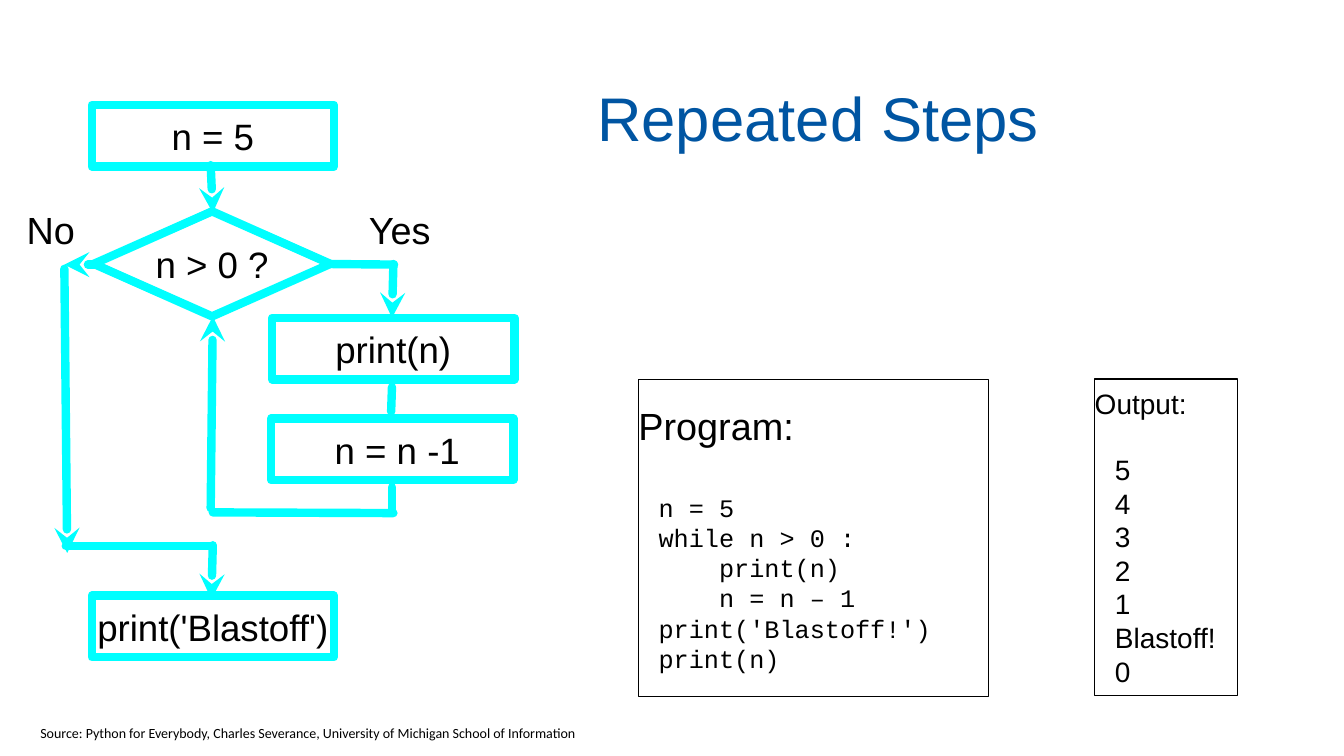
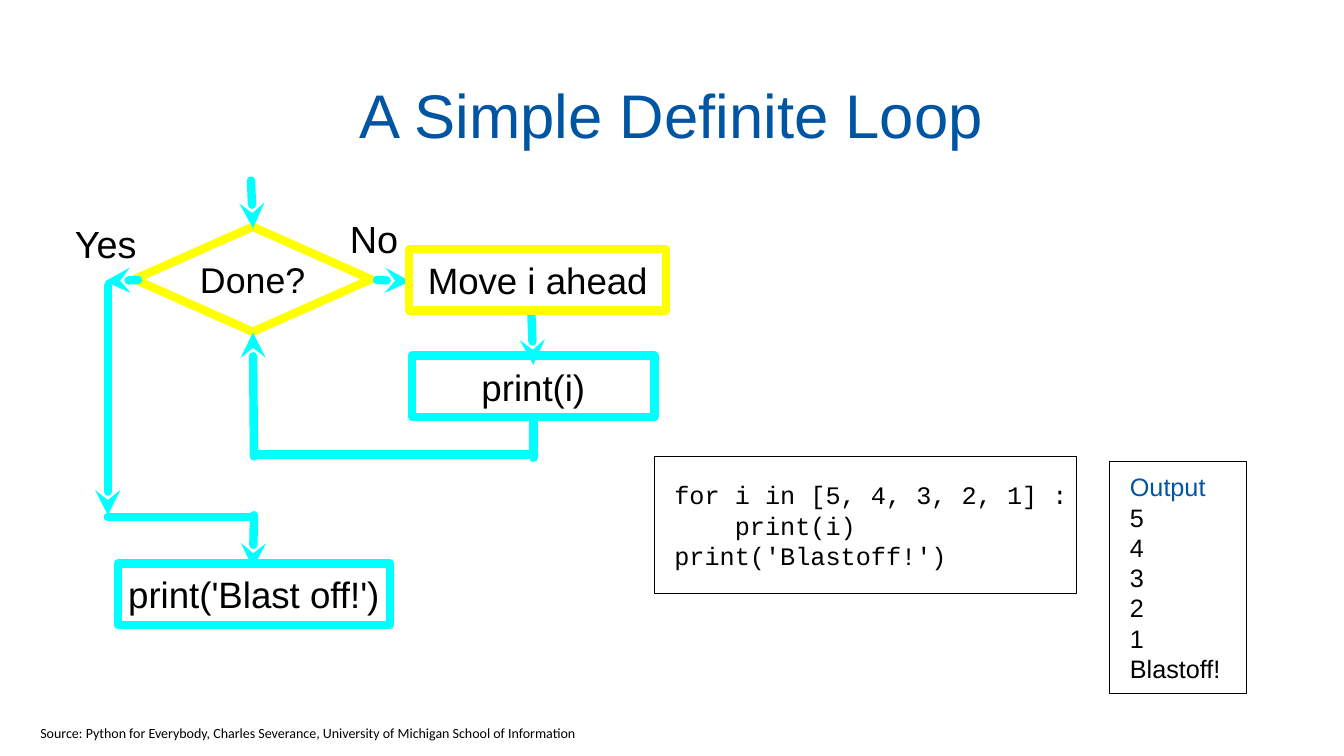
import pptx
import pptx.dml.color
import pptx.enum.shapes
import pptx.enum.text
import pptx.oxml.ns
import pptx.util
import lxml.etree

Pt = pptx.util.Pt
SHAPES = pptx.enum.shapes.MSO_SHAPE
ALIGN = pptx.enum.text.PP_ALIGN
ANCHOR = pptx.enum.text.MSO_ANCHOR

COLOURS = {"title": "0055A2", "text": "000000", "flow": "00FFFF", "loop": "FFFF00"}
FLOW_WIDTH = 6
BOX_HEIGHT = 44
BOX_WIDTH = 173
DIAMOND_SIZE = (169, 75)
FLOW_SIZE = 26.2
LABEL_SIZE = 27
INDENT = 14.4
CODE_INDENT = INDENT + 43.2  # four monospaced characters at 18 pt
SOURCE = ("Source: Python for Everybody, Charles Severance, "
          "University of Michigan School of Information")


def add_box(page, frame, lines, kind=None, outline="text", width=0.75, align=ALIGN.CENTER, inset=0):
    """Add a text box, or an outlined shape of the given kind.

    Each line is a dict: text, size and optional font, colour, indent, gap (space after).
    """
    frame = [Pt(length) for length in frame]
    if kind is None:
        box = page.shapes.add_textbox(*frame)
    else:
        box = page.shapes.add_shape(kind, *frame)
        box.shadow.inherit = False
        box.fill.background()
        draw_outline(box.line, outline, width)
    text_frame = box.text_frame
    text_frame.word_wrap = True
    text_frame.vertical_anchor = ANCHOR.MIDDLE
    text_frame.margin_left = text_frame.margin_right = Pt(inset)
    text_frame.margin_top = text_frame.margin_bottom = Pt(inset)
    for index, line in enumerate(lines):
        para = text_frame.add_paragraph() if index else text_frame.paragraphs[0]
        para.alignment = align
        para.space_after = Pt(line.get("gap", 0))
        properties = para._p.get_or_add_pPr()
        properties.set("marL", str(Pt(line.get("indent", 0))))
        properties.set("indent", "0")
        span = para.add_run()
        span.text = line["text"]
        span.font.size = Pt(line["size"])
        span.font.name = line.get("font", "Arial")
        span.font.color.rgb = pptx.dml.color.RGBColor.from_string(COLOURS[line.get("colour", "text")])
    return box


def draw_outline(line, colour, width, arrow=False):
    line.width = Pt(width)
    line.color.rgb = pptx.dml.color.RGBColor.from_string(COLOURS[colour])
    outline = line._get_or_add_ln()
    if width == FLOW_WIDTH:
        outline.set("cap", "rnd")
        lxml.etree.SubElement(outline, pptx.oxml.ns.qn("a:round"))
    if arrow:
        lxml.etree.SubElement(outline, pptx.oxml.ns.qn("a:tailEnd"), type="stealth")


def_code = {"size": 18, "font": "Courier New", "indent": INDENT}
nested_code = {**def_code, "indent": CODE_INDENT}
first_output = {"size": 20, "indent": INDENT}
second_output = {"size": 18, "indent": INDENT}

slides = [
    {
        "title": ("Repeated Steps", (279, 48, 611, 71)),
        "diamond": ("n > 0 ?", (67, 151), FLOW_SIZE, "flow"),
        # start x, start y, end x, end y, arrowhead at the end
        "lines": [
            (150.5, 118, 152, 152, True),
            (150.5, 363, 152, 226, True),
            (281.5, 189, 236, 188.6, False),
            (281, 188.6, 280, 227, True),
            (280, 348, 280, 366, False),
            (152, 366, 281, 366.5, False),
            (70, 189, 46, 189, True),
            (152, 389.5, 151, 428, True),
            (46, 192, 48, 395, True),
            (47, 390, 150.5, 390, False),
            (280, 276.5, 279.4, 294, False),
        ],
        "labels": [("No", (15, 145, 42.5, 37)), ("Yes", (258.5, 145, 54, 37))],
        # text, left, top, width, outline
        "boxes": [
            ("n = 5", 65.5, 75, BOX_WIDTH, "flow"),
            ("print(n)", 194.4, 227, BOX_WIDTH, "flow"),
            (" n = n -1", 193.7, 299, BOX_WIDTH, "flow"),
            ("print('Blastoff')", 65.5, 425.5, BOX_WIDTH, "flow"),
        ],
        "panels": [
            ((456, 271.4, 250, 226), [
                {"text": "Program:", "size": 27, "gap": 31},
                {"text": "n = 5", **def_code},
                {"text": "while n > 0 :", **def_code},
                {"text": "print(n)", **nested_code},
                {"text": "n = n – 1", **nested_code},
                {"text": "print('Blastoff!')", **def_code},
                {"text": "print(n)", **def_code},
            ]),
            ((782, 270.7, 102, 226), [
                {"text": "Output:", "size": 20, "gap": 23},
                *[{"text": value, **first_output} for value in ("5", "4", "3", "2", "1", "Blastoff!", "0")],
            ]),
        ],
    },
    {
        "title": ("A Simple Definite Loop", (68.4, 48, 823, 67)),
        "diamond": ("Done?", (96, 162), 25.5, "loop"),
        "lines": [
            (179.3, 129, 180.7, 163, True),
            (181.4, 326, 180.7, 237.6, True),
            (379.5, 222, 381, 260.6, True),
            (381, 298, 381, 327, False),
            (181.4, 324.7, 381.6, 324.7, False),
            (98.6, 200, 75, 201, True),
            (181.4, 368, 180.7, 406, True),
            (77, 204, 77, 368, True),
            (77, 369.4, 180, 369.4, False),
            (269.3, 200, 293, 201, True),
        ],
        "labels": [("Yes", (41, 155.5, 69, 37)), ("No", (246, 152, 42.5, 37))],
        "boxes": [
            ("Move i ahead", 292.3, 178, 183.6, "loop"),
            ("print(i)", 294.5, 254, BOX_WIDTH, "flow"),
            ("print('Blast off!')", 84.2, 402.5, 194.4, "flow"),
        ],
        "panels": [
            ((467.3, 326, 301.7, 98), [
                {"text": "for i in [5, 4, 3, 2, 1] :", **def_code},
                {"text": "print(i)", **nested_code},
                {"text": "print('Blastoff!')", **def_code},
            ]),
            ((792.7, 329.8, 98, 165.6), [
                {"text": "Output", "colour": "title", **second_output},
                *[{"text": value, **second_output} for value in ("5", "4", "3", "2", "1", "Blastoff!")],
            ]),
        ],
    },
]

deck = pptx.Presentation()
deck.slide_width = Pt(960)
deck.slide_height = Pt(540)

for content in slides:
    page = deck.slides.add_slide(deck.slide_layouts[6])

    title, frame = content["title"]
    add_box(page, frame, [{"text": title, "size": 44, "colour": "title"}], inset=2)

    for frame, lines in content["panels"]:
        add_box(page, frame, lines, SHAPES.RECTANGLE, align=ALIGN.LEFT)

    question, corner, size, colour = content["diamond"]
    add_box(page, corner + DIAMOND_SIZE, [{"text": question, "size": size}],
            SHAPES.DIAMOND, colour, FLOW_WIDTH)

    for *ends, arrow in content["lines"]:
        connector = page.shapes.add_connector(
            pptx.enum.shapes.MSO_CONNECTOR.STRAIGHT, *[Pt(end) for end in ends])
        draw_outline(connector.line, "flow", FLOW_WIDTH, arrow)
        lxml.etree.SubElement(connector._element.spPr, pptx.oxml.ns.qn("a:effectLst"))

    for label, frame in content["labels"]:
        add_box(page, frame, [{"text": label, "size": LABEL_SIZE}])

    for text, left, top, width, colour in content["boxes"]:
        add_box(page, (left, top, width, BOX_HEIGHT), [{"text": text, "size": FLOW_SIZE}],
                SHAPES.RECTANGLE, colour, FLOW_WIDTH)

    footer = add_box(page, (28.8, 517.5, 389, 12.2),
                     [{"text": SOURCE, "size": 10, "font": "Calibri"}], align=ALIGN.LEFT)
    footer.text_frame.word_wrap = False

deck.save("out.pptx")
